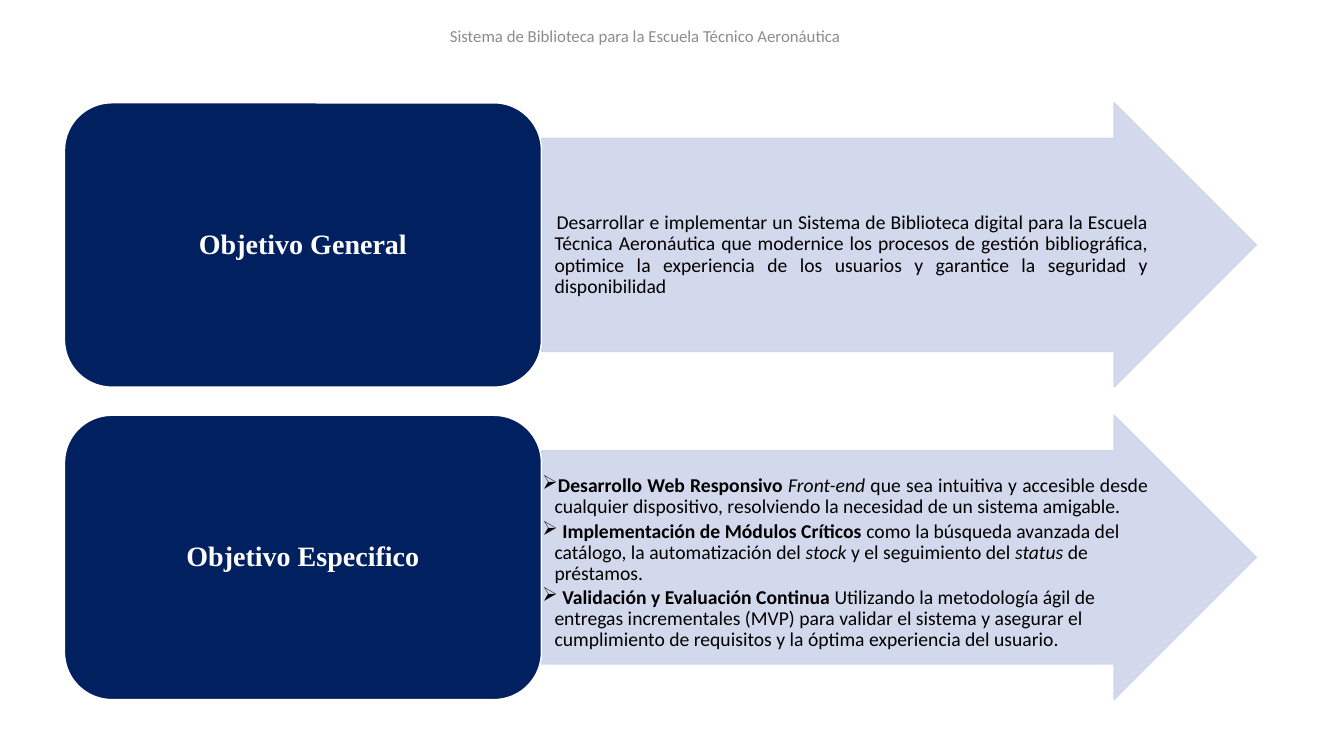
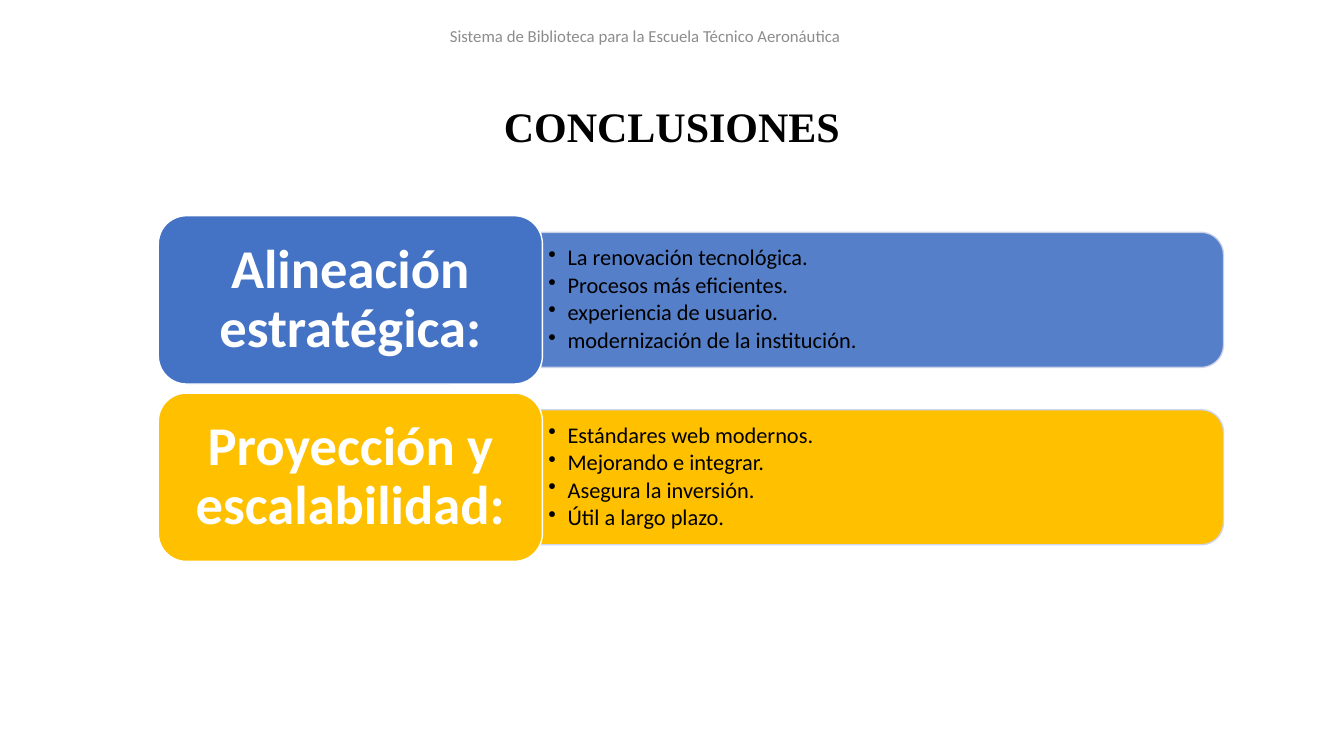
import pptx
import pptx.util
import pptx.dml.color
import pptx.enum.shapes
import pptx.enum.text
import pptx.oxml.ns
import lxml.etree

SCALE = 9144
HUES = {
    "navy": "002060", "pale": "CFD5EA", "blue": "4472C4", "gold": "FFC000",
    "white": "FFFFFF", "black": "000000", "gray": "8C8C8C",
}
SERIF = "Times New Roman"
KIND = pptx.enum.shapes.MSO_SHAPE
ALIGN = pptx.enum.text.PP_ALIGN
ANCHOR = pptx.enum.text.MSO_ANCHOR
qn = pptx.oxml.ns.qn


def px(*nums):
    return [pptx.util.Emu(num * SCALE) for num in nums]


def write(slide, text, box, kind=None, fill=None, line=None, alpha=100, turn=0,
          adj=(), size=14, font="Calibri", color="black", bold=False,
          align=ALIGN.LEFT, anchor=ANCHOR.MIDDLE, inset=(10, 5), mark=None,
          left=0, first=0, lead=1, after=0):
    if kind is None:
        shape = slide.shapes.add_textbox(*px(*box))
    else:
        shape = slide.shapes.add_shape(kind, *px(*box))
        shape.shadow.inherit = False
        shape.rotation = turn
        for i, val in enumerate(adj):
            shape.adjustments[i] = val
        shape.fill.solid()
        shape.line.fill.solid()
        shape.line.width = pptx.util.Pt(1)
        shape.fill.fore_color.rgb = pptx.dml.color.RGBColor.from_string(HUES[fill])
        shape.line.color.rgb = pptx.dml.color.RGBColor.from_string(HUES[line])
        if alpha < 100:
            for node in shape.element.spPr.iter(qn("a:srgbClr")):
                lxml.etree.SubElement(node, qn("a:alpha"), val=str(alpha * 1000))
    frame = shape.text_frame
    frame.word_wrap = True
    frame.vertical_anchor = anchor
    frame.margin_left, frame.margin_top = px(*inset)
    frame.margin_right, frame.margin_bottom = px(*inset)
    for i, parts in enumerate(text):
        para = frame.add_paragraph() if i else frame.paragraphs[0]
        props = para._p.get_or_add_pPr()
        props.set("marL", str(left * SCALE))
        props.set("indent", str(first * SCALE))
        if mark:
            lxml.etree.SubElement(props, qn("a:buChar"), char=mark)
        para.alignment = align[i] if isinstance(align, list) else align
        para.line_spacing = lead
        para.space_after = pptx.util.Pt(after)
        for part in [parts] if isinstance(parts, str) else parts:
            words, style = (part, "") if isinstance(part, str) else part
            run = para.add_run()
            run.text = words
            run.font.size = pptx.util.Pt(size)
            run.font.name = font
            run.font.bold = bold or style == "b"
            run.font.italic = style == "i"
            run.font.color.rgb = pptx.dml.color.RGBColor.from_string(HUES[color])


deck = pptx.Presentation()
deck.slide_width, deck.slide_height = px(1333, 750)
goals, ends = [deck.slides.add_slide(deck.slide_layouts[6]) for _ in range(2)]
for slide in (goals, ends):
    write(slide, ["Sistema de Biblioteca para la Escuela Técnico Aeronáutica"],
          (415, 19, 450, 34), size=12, color="gray", align=ALIGN.CENTER)

aims = [
    ("Objetivo General", 108, dict(align=ALIGN.JUSTIFY, first=2), [
        "Desarrollar e implementar un Sistema de Biblioteca digital para la Escuela "
        "Técnica Aeronáutica que modernice los procesos de gestión bibliográfica, "
        "optimice la experiencia de los usuarios y garantice la seguridad y "
        "disponibilidad",
    ]),
    ("Objetivo Especifico", 59, dict(
        align=[ALIGN.JUSTIFY, ALIGN.LEFT, ALIGN.LEFT], first=-12, mark="➢"), [
        [("Desarrollo Web Responsivo ", "b"), ("Front-end", "i"),
         " que sea intuitiva y accesible desde cualquier dispositivo, "
         "resolviendo la necesidad de un sistema amigable."],
        [(" Implementación de Módulos Críticos ", "b"),
         "como la búsqueda avanzada del catálogo, la automatización del ",
         ("stock", "i"), " y el seguimiento del ", ("status", "i"),
         " de préstamos."],
        [(" Validación y Evaluación Continua ", "b"),
         "Utilizando la metodología ágil de entregas incrementales (MVP) para "
         "validar el sistema y asegurar el cumplimiento de requisitos y la "
         "óptima experiencia del usuario."],
    ]),
]
for row, (name, drop, style, text) in enumerate(aims):
    top = 102 + row * 310
    write(goals, [], (537, top, 709, 282), kind=KIND.RIGHT_ARROW,
          fill="pale", line="pale", alpha=90, adj=(0.75, 0.5))
    write(goals, text, (537, top + drop, 603, 247 - drop), inset=(1, 1),
          anchor=ANCHOR.TOP, left=12, lead=0.9, after=2.1, **style)
    write(goals, [name], (64, top, 473, 282), kind=KIND.ROUNDED_RECTANGLE,
          fill="navy", line="white", size=20, font=SERIF, color="white",
          bold=True, align=ALIGN.CENTER, inset=(8, 4), lead=0.9)

write(ends, ["CONCLUSIONES"], (0, 95, 1333, 61), size=30, font=SERIF,
      bold=True, align=ALIGN.CENTER, anchor=ANCHOR.TOP)
points = [
    ("Alineación estratégica:", "blue", 90, [
        "La renovación tecnológica.", "Procesos más eficientes.",
        "experiencia de usuario.", "modernización de la institución."]),
    ("Proyección y escalabilidad:", "gold", 100, [
        "Estándares web modernos.", "Mejorando e integrar.",
        "Asegura la inversión.", "Útil a largo plazo."]),
]
for row, (name, hue, alpha, text) in enumerate(points):
    top = 214 + row * 176
    write(ends, [], (808, top - 255, 134, 677), kind=KIND.ROUND_2_SAME_RECTANGLE,
          fill=hue, line="pale", alpha=alpha, turn=90)
    write(ends, text, (537, top + 23, 670, 121), size=16, inset=(7, 3),
          mark="•", left=19, first=-19, lead=0.9, after=2.4)
    write(ends, [name], (157, top, 381, 167), kind=KIND.ROUNDED_RECTANGLE,
          fill=hue, line="white", size=39, color="white", bold=True,
          align=ALIGN.CENTER, inset=(16, 8), lead=0.9)

deck.save("out.pptx")
